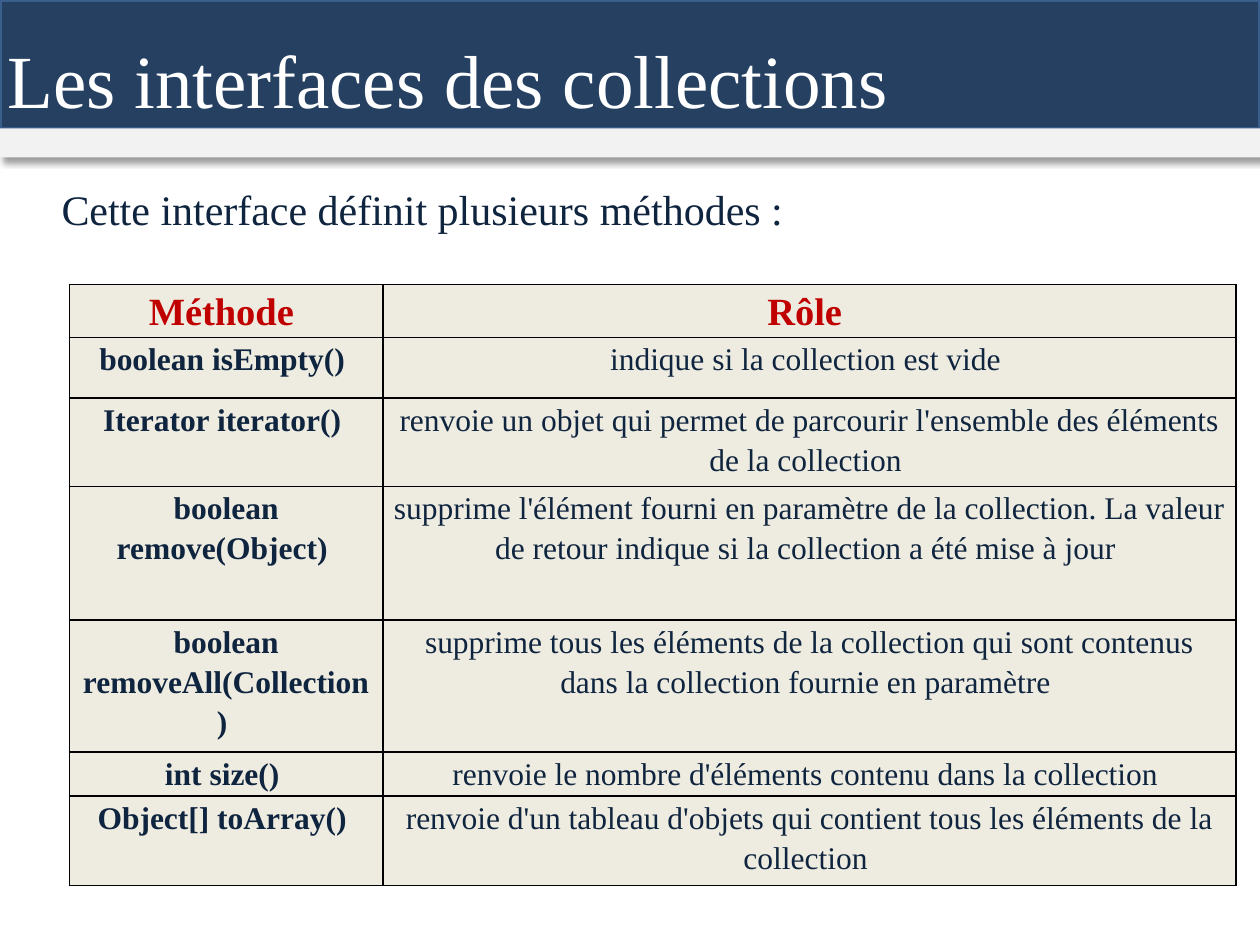
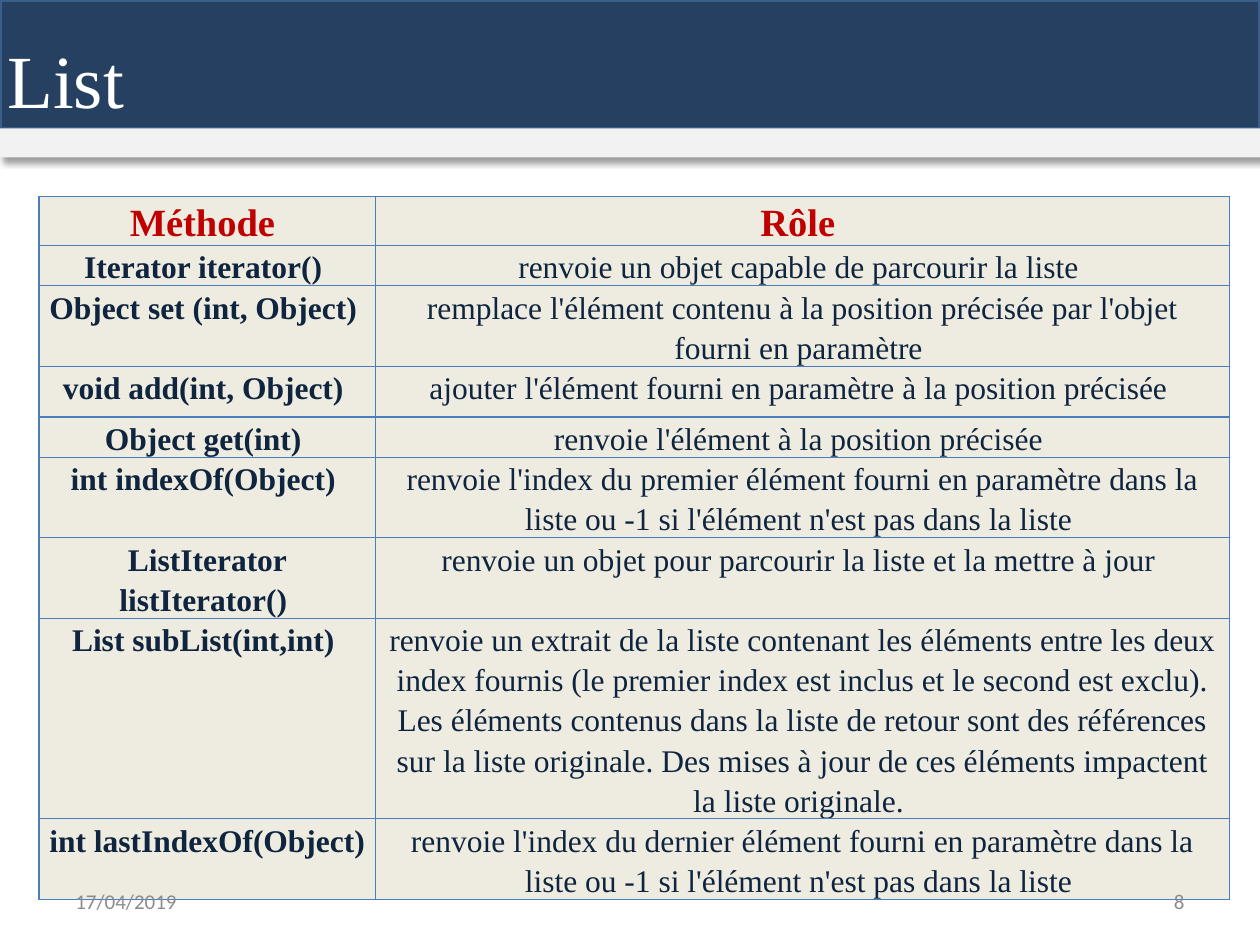
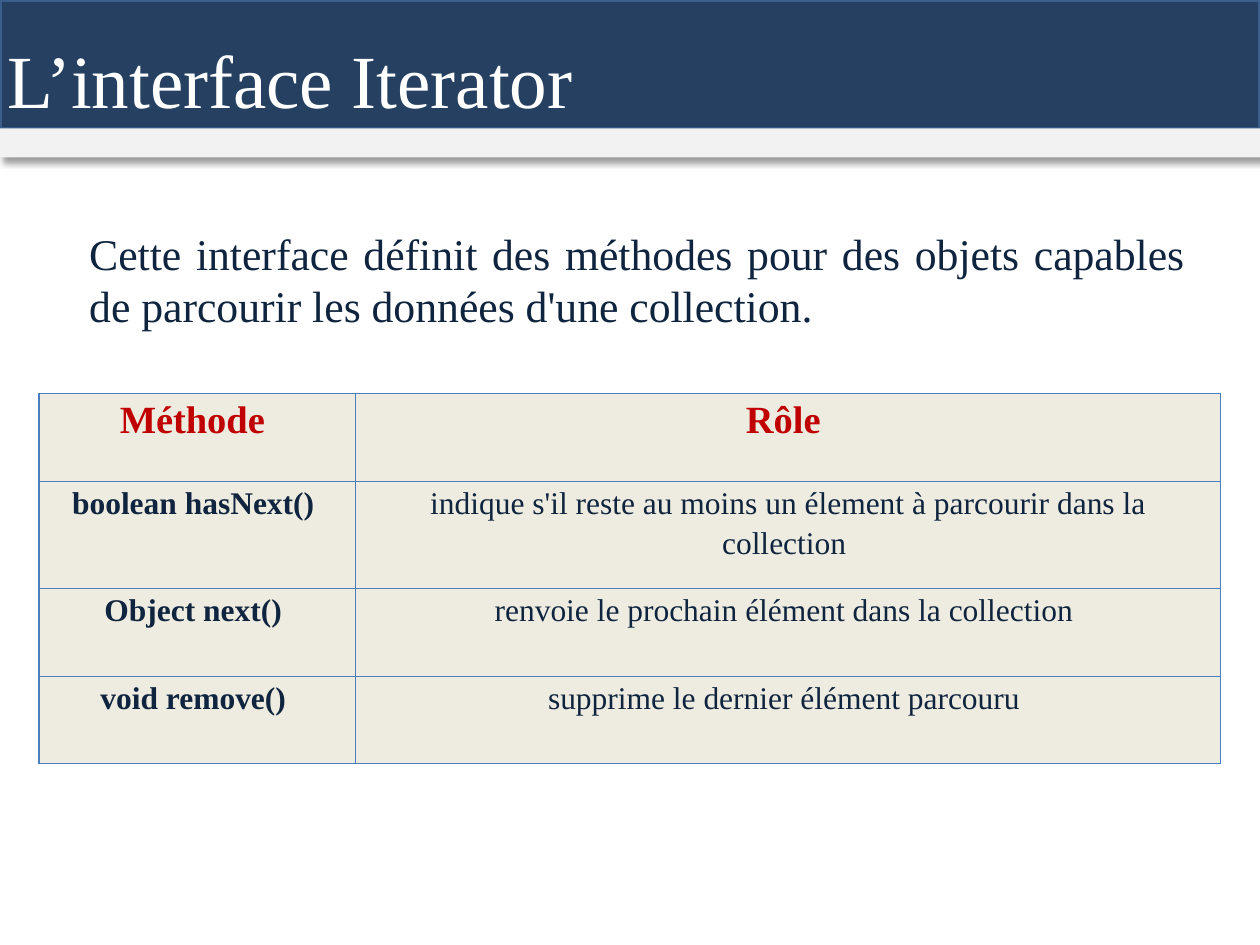
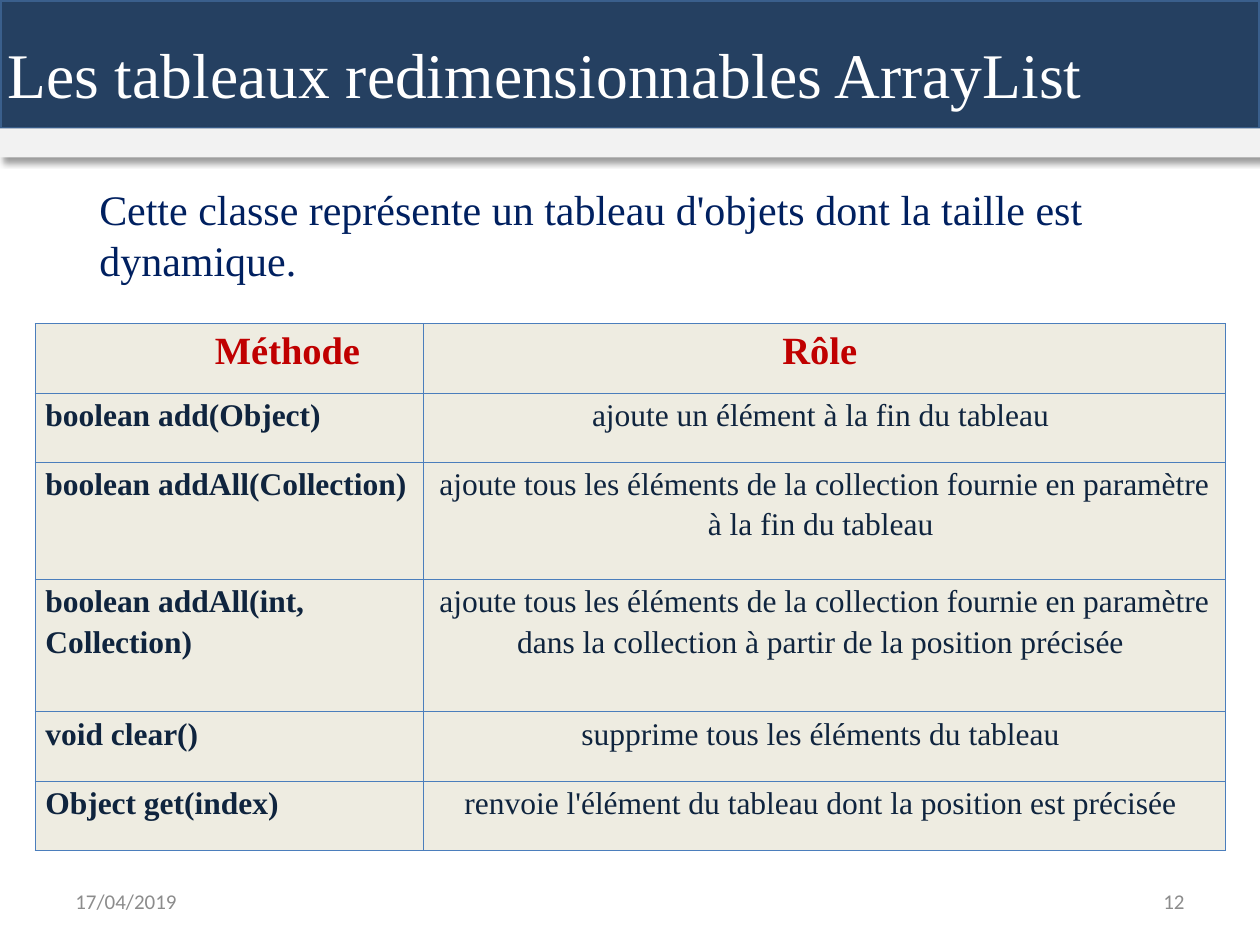
import pptx
import pptx.util
import pptx.dml.color
import pptx.enum.text
import pptx.enum.shapes
import pptx.oxml.ns
import lxml.etree

Inches = pptx.util.Inches
Pt = pptx.util.Pt
RGB = pptx.dml.color.RGBColor
ALIGN = pptx.enum.text.PP_ALIGN
ANCHOR = pptx.enum.text.MSO_ANCHOR
qn = pptx.oxml.ns.qn

# Shared look
NAVY = RGB(0x25, 0x40, 0x61)
EDGE = RGB(0x3A, 0x5F, 0x8C)
PALE = RGB(0xF2, 0xF2, 0xF2)
WHITE = RGB(0xFF, 0xFF, 0xFF)
CREAM = RGB(0xEE, 0xEC, 0xE1)
RED = RGB(0xC0, 0x00, 0x00)
INK = RGB(0x0F, 0x24, 0x3E)
BLUE = RGB(0x00, 0x20, 0x60)
GREY = RGB(0x8C, 0x8C, 0x8C)
BLACK = RGB(0x00, 0x00, 0x00)
STEEL = RGB(0x4B, 0x7E, 0xBC)
SERIF = "Times New Roman"
SANS = "Calibri"
DATE = "17/04/2019"


def node(root, tag, **attrs):
    item = lxml.etree.SubElement(root, qn(tag))
    for key, val in attrs.items():
        item.set(key, str(val))
    return item


def write(para, text, size, color, font=SERIF, bold=False):
    run = para.add_run()
    run.text = text
    run.font.size = Pt(size)
    run.font.name = font
    run.font.bold = bold
    run.font.color.rgb = color


def indent(para, left):
    props = para._p.get_or_add_pPr()
    props.set("marL", str(Inches(left)))
    props.set("indent", "0")


def label(slide, box, text, size, color, font=SERIF, align=ALIGN.LEFT,
          anchor=ANCHOR.TOP):
    """One paragraph in a box (left, top, width, height); returns it."""
    frame = slide.shapes.add_textbox(*map(Inches, box)).text_frame
    frame.word_wrap = True
    frame.vertical_anchor = anchor
    para = frame.paragraphs[0]
    para.alignment = align
    write(para, text, size, color, font)
    return para


def band(slide, box, color, edge=None):
    """Full-width strip with a soft shadow."""
    strip = slide.shapes.add_shape(
        pptx.enum.shapes.MSO_SHAPE.RECTANGLE, *map(Inches, box))
    strip.fill.solid()
    strip.fill.fore_color.rgb = color
    if edge:
        strip.line.color.rgb = edge
        strip.line.width = Pt(2)
    else:
        strip.line.fill.background()
    strip.shadow.inherit = False
    glow = node(strip._element.spPr.find(qn("a:effectLst")), "a:outerShdw",
                blurRad=Pt(4), dist=Pt(3), dir=45 * 60000, rotWithShape=0)
    node(node(glow, "a:srgbClr", val=BLACK), "a:alpha", val=40000)


def header(slide, title, size=42.9, width=7.29):
    band(slide, (0, 0, 10, 1.02), NAVY, EDGE)
    label(slide, (-0.04, 0.3, width, 0.77), title, size,
          WHITE).line_spacing = 0.9
    band(slide, (0, 1.02, 10, 0.23), PALE)


def footer(slide, number):
    for left, text, align in ((0.5, DATE, ALIGN.LEFT),
                              (7.17, number, ALIGN.RIGHT)):
        label(slide, (left, 6.95, 2.33, 0.4), text, 12, GREY, SANS, align,
              ANCHOR.MIDDLE)


def intro(slide, box, text, size, color, align=ALIGN.LEFT):
    """Indented opening sentence."""
    para = label(slide, box, text, size, color, align=align)
    para.space_before = Pt(size * 0.2)
    indent(para, 0.38)


def border(cell, color, width):
    props = cell._tc.get_or_add_tcPr()
    for spot, side in enumerate(("a:lnL", "a:lnR", "a:lnT", "a:lnB")):
        line = lxml.etree.Element(qn(side), w=str(Pt(width)))
        node(node(line, "a:solidFill"), "a:srgbClr", val=color)
        props.insert(spot, line)


def grid(slide, left, top, cols, highs, rows, color=STEEL, width=0.75,
         align=ALIGN.CENTER, shift=0, tight=False):
    """Method table; align is for method names, shift for their heading.

    A tight table has exact line heights, so that rows hug their text.
    """
    rows = [("Méthode", "Rôle")] + rows
    table = slide.shapes.add_table(
        len(rows), len(cols), Inches(left), Inches(top),
        Inches(sum(cols)), Inches(sum(highs))).table
    table.first_row = table.horz_banding = False
    for col, wide in zip(table.columns, cols):
        col.width = Inches(wide)
    for r, (row, high) in enumerate(zip(rows, highs)):
        table.rows[r].height = Inches(high)
        size = 18 if r else 22
        for c, text in enumerate(row):
            cell = table.cell(r, c)
            cell.margin_left = cell.margin_right = Inches(0.08)
            cell.margin_top = cell.margin_bottom = 0
            cell.fill.solid()
            cell.fill.fore_color.rgb = CREAM
            border(cell, color, width)
            para = cell.text_frame.paragraphs[0]
            para.line_spacing = Pt(round(size * 1.27, 1)) if tight else 1.15
            para.alignment = align if r and not c else ALIGN.CENTER
            write(para, text + " ", size, INK if r else RED,
                  bold=not r or not c)
            if shift and not r and not c:
                indent(para, shift)


def shared(slide):
    """Methods of the base collection interface."""
    grid(slide, 0.55, 2.26, (2.49, 6.77),
         (0.42, 0.48, 0.7, 1.06, 1.05, 0.35, 0.71), [
             ("boolean isEmpty()", "indique si la collection est vide"),
             ("Iterator iterator()",
              "renvoie un objet qui permet de parcourir l'ensemble des "
              "éléments de la collection"),
             ("boolean remove(Object)",
              "supprime l'élément fourni en paramètre de la collection. La "
              "valeur de retour indique si la collection a été mise à jour"),
             ("boolean removeAll(Collection)",
              "supprime tous les éléments de la collection qui sont contenus "
              "dans la collection fournie en paramètre"),
             ("int size()",
              "renvoie le nombre d'éléments contenu dans la collection"),
             ("Object[] toArray()",
              "renvoie d'un tableau d'objets qui contient tous les éléments "
              "de la collection"),
         ], BLACK, 1)
    label(slide, (0.39, 1.41, 7.17, 0.5),
          "Cette interface définit plusieurs méthodes\u00a0:", 24, INK,
          anchor=ANCHOR.MIDDLE)
    header(slide, "Les interfaces des collections")


def lists(slide):
    """Methods of List."""
    grid(slide, 0.31, 1.56, (2.67, 6.78),
         (0.39, 0.32, 0.64, 0.4, 0.32, 0.64, 0.64, 1.59, 0.64), [
             ("Iterator iterator()",
              "renvoie un objet capable de parcourir la liste"),
             ("Object set (int, Object)",
              "remplace l'élément contenu à la position précisée par l'objet "
              "fourni en paramètre"),
             ("void add(int, Object)",
              "ajouter l'élément fourni en paramètre à la position précisée"),
             ("Object get(int)", "renvoie l'élément à la position précisée"),
             ("int indexOf(Object)",
              "renvoie l'index du premier élément fourni en paramètre dans "
              "la liste ou -1 si l'élément n'est pas dans la liste"),
             ("ListIterator listIterator()",
              "renvoie un objet pour parcourir la liste et la mettre à jour"),
             ("List subList(int,int)",
              "renvoie un extrait de la liste contenant les éléments entre "
              "les deux index fournis (le premier index est inclus et le "
              "second est exclu). Les éléments contenus dans la liste de "
              "retour sont des références sur la liste originale. Des mises "
              "à jour de ces éléments impactent la liste originale."),
             ("int lastIndexOf(Object)",
              "renvoie l'index du dernier élément fourni en paramètre dans "
              "la liste ou -1 si l'élément n'est pas dans la liste"),
         ], tight=True)
    footer(slide, "8")
    header(slide, "List")


def cursor(slide):
    """Methods of Iterator."""
    intro(slide, (0.23, 1.75, 9.27, 0.91),
          "Cette interface définit des méthodes pour des objets capables de "
          "parcourir les données d'une collection.", 25, INK, ALIGN.JUSTIFY)
    grid(slide, 0.31, 3.12, (2.51, 6.87), (0.7, 0.85, 0.7, 0.69), [
        ("boolean hasNext()",
         "indique s'il reste au moins un élement à parcourir dans la "
         "collection"),
        ("Object next()", "renvoie le prochain élément dans la collection"),
        ("void remove()", "supprime le dernier élément parcouru"),
    ])
    header(slide, "L’interface Iterator")


def array(slide):
    """Methods of ArrayList."""
    intro(slide, (0.31, 1.41, 9, 4.34),
          "Cette classe représente un tableau d'objets dont la taille est "
          "dynamique.", 24, BLUE)
    footer(slide, "12")
    grid(slide, 0.28, 2.57, (3.08, 6.37),
         (0.55, 0.55, 0.93, 1.05, 0.55, 0.55), [
             ("boolean add(Object)", "ajoute un élément à la fin du tableau"),
             ("boolean addAll(Collection)",
              "ajoute tous les éléments de la collection fournie en "
              "paramètre à la fin du tableau"),
             ("boolean addAll(int, Collection)",
              "ajoute tous les éléments de la collection fournie en "
              "paramètre dans la collection à partir de la position "
              "précisée"),
             ("void clear()", "supprime tous les éléments du tableau"),
             ("Object get(index)",
              "renvoie l'élément du tableau dont la position est précisée"),
         ], align=ALIGN.LEFT, shift=1)
    header(slide, "Les tableaux redimensionnables ArrayList", 36.3, 8.95)


deck = pptx.Presentation()
deck.slide_width = Inches(10)
deck.slide_height = Inches(7.5)
for build in (shared, lists, cursor, array):
    build(deck.slides.add_slide(deck.slide_layouts[6]))
deck.save("out.pptx")
